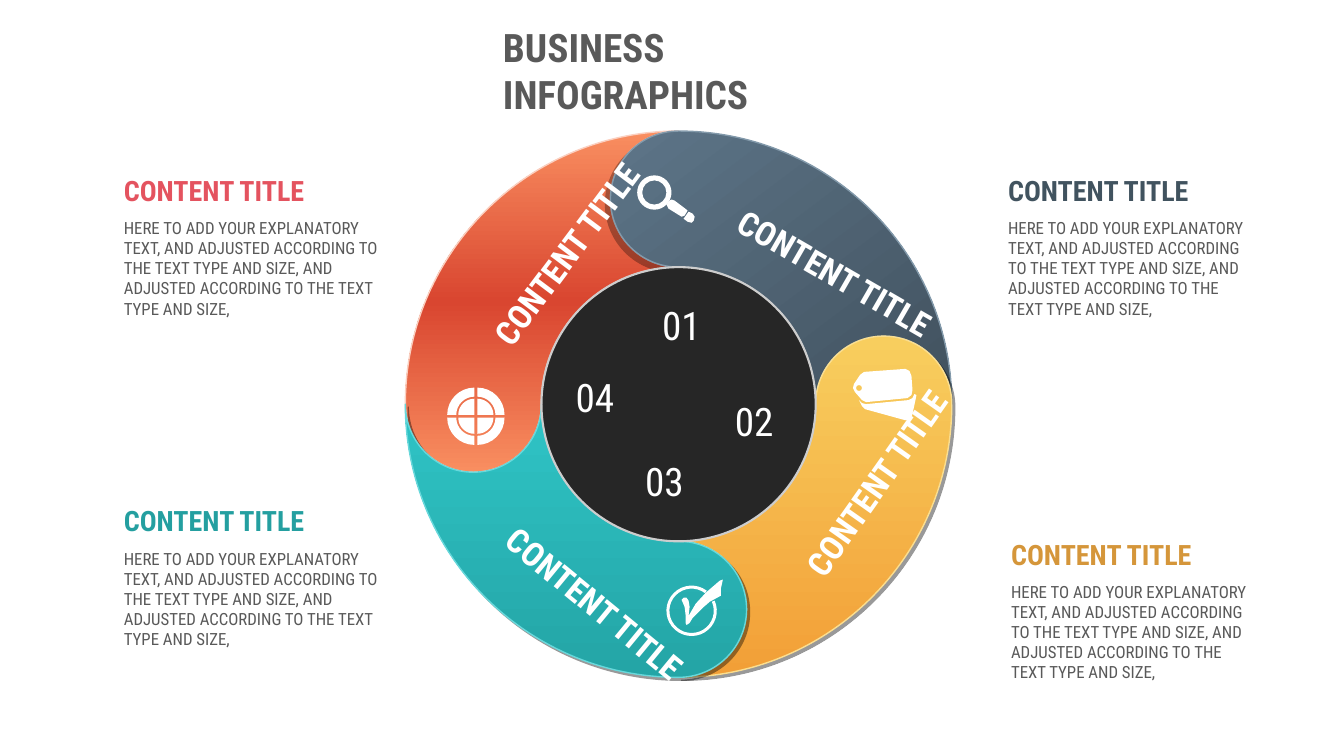
from math import ceil, cos, dist, radians, sin, tan
from lxml.etree import SubElement
from pptx import Presentation
from pptx.dml.color import RGBColor
from pptx.enum.shapes import MSO_SHAPE
from pptx.enum.text import PP_ALIGN
from pptx.oxml import parse_xml
from pptx.oxml.ns import nsdecls, qn
from pptx.util import Inches, Pt

FONT = "Roboto Condensed"
COLORS = {"text": "595959", "white": "FFFFFF", "hub": "262626", "rim": "CDCDCD",
          "red": "E4535F", "navy": "41535F", "gold": "D5963A", "teal": "249FA0"}
HEADING = "BUSINESS INFOGRAPHICS"
CAPTION = "CONTENT TITLE"
EXPLANATION = ("HERE TO ADD YOUR EXPLANATORY TEXT, AND ADJUSTED ACCORDING TO THE TEXT "
               "TYPE AND SIZE, AND ADJUSTED ACCORDING TO THE TEXT TYPE AND SIZE,")

# left, top, width, colour of each note
NOTES = [(1.13, 1.67, 2.75, "red"), (1.13, 4.95, 2.75, "teal"),
         (9.9, 1.67, 2.66, "navy"), (9.93, 5.28, 2.66, "gold")]
# left, top, rotation of each caption on the wheel
WHEEL_CAPTIONS = [(4.36, 2.1, 306.9), (7.08, 2.56, 30), (4.68, 5.87, 39.5), (7.43, 4.37, 305.2)]
NUMBERS = [("01", 6.36, 2.94), ("02", 7.08, 3.89), ("03", 6.19, 4.49), ("04", 5.5, 3.65)]

# start angle, gradient colours, gradient angle, outline, shadow (opacity, distance, angle)
SEGMENTS = [
    (180, ("F98E60", "D94630", "F98E60"), 90, "FBD0C1", (40, 3, 45)),
    (270, ("5D7588", "41515E"), 53, "839AAB", (30, 5, 135)),
    (0, ("F8CE5E", "F29F37"), 90, "FADE90", (40, 3, 45)),
    (90, ("24A5A6", "2FC4C6"), 270, "67D8DB", (40, 3, 45)),
]
CENTER = (6.73, 4.01)
OUTER, INNER = 2.71, 1.36
MIDDLE, CAP = (OUTER + INNER) / 2, (OUTER - INNER) / 2

LENS = (6.49, 1.91)
HANDLE = [(6.81, 2.08), (6.69, 1.99), (6.66, 1.98), (6.64, 1.99), (6.61, 2.03),
          (6.63, 2.07), (6.76, 2.15), (6.79, 2.14), (6.82, 2.09)]
HANDLE_TIP = [(6.83, 2.1), (6.87, 2.12), (6.89, 2.15), (6.88, 2.19), (6.86, 2.21),
              (6.82, 2.2), (6.78, 2.17)]
TARGET, TARGET_GAP = (4.72, 4.13), 0.02
CHECK = (6.86, 6.06)
TICK = [(7.14, 5.76), (7, 5.88), (6.9, 5.99), (6.83, 6.11), (6.84, 6.02), (6.83, 5.96),
        (6.81, 5.93), (6.78, 5.93), (6.76, 5.95), (6.79, 6.02), (6.8, 6.1), (6.8, 6.18),
        (6.81, 6.2), (6.84, 6.18), (6.87, 6.13), (6.97, 6.03), (7.04, 5.97),
        (7.15, 5.91), (7.15, 5.84), (7.17, 5.75)]
BACK_TAG = [(9.08, 3.97), (9.05, 4.11), (9.03, 4.16), (8.98, 4.17), (8.58, 4.06),
            (8.55, 4.03), (8.52, 3.97), (8.55, 4), (8.59, 4.01), (9.01, 3.97),
            (9.05, 3.95), (9.07, 3.91), (9.09, 3.92)]
FRONT_TAG = [(9.05, 3.87), (9.04, 3.73), (9.02, 3.68), (8.98, 3.66), (8.57, 3.69),
             (8.53, 3.72), (8.47, 3.81), (8.46, 3.85), (8.48, 3.89), (8.55, 3.97),
             (8.59, 3.99), (9, 3.95), (9.04, 3.92)]
TAG_HOLE = (8.52, 3.85)

prs = Presentation()
prs.slide_width, prs.slide_height = Inches(13.33), Inches(7.5)
slide = prs.slides.add_slide(prs.slide_layouts[6])
shapes = slide.shapes


def rgb(name):
    return RGBColor.from_string(COLORS.get(name, name))


def add_text(text, left, top, width, height, size=12, color="text", bold=False,
             align=PP_ALIGN.LEFT, rotation=0):
    box = shapes.add_textbox(Inches(left), Inches(top), Inches(width), Inches(height))
    box.rotation = rotation
    box.text_frame.word_wrap = True
    paragraph = box.text_frame.paragraphs[0]
    paragraph.alignment = align
    run = paragraph.add_run()
    run.text = text
    run.font.name, run.font.size, run.font.bold = FONT, Pt(size), bold
    run.font.color.rgb = rgb(color)


def polar(center, radius, angle):
    return (center[0] + radius * cos(radians(angle)), center[1] + radius * sin(radians(angle)))


def arc(center, radius, start, end):
    """Start point, then two control points and an end point per Bézier piece."""
    pieces = ceil(abs(end - start) / 90)
    step = (end - start) / pieces
    reach = 4 / 3 * tan(radians(step / 4)) * radius
    points = [polar(center, radius, start)]
    for i in range(pieces):
        near, far = start + step * i, start + step * (i + 1)
        tail = polar(center, radius, far)
        points += [polar(points[-1], reach, near + 90), polar(tail, -reach, far + 90), tail]
    return points


def join(*arcs):
    """Chain arcs, bridging any gap with a straight piece."""
    points = list(arcs[0])
    for following in arcs[1:]:
        if dist(points[-1], following[0]) > 0.001:
            points += [points[-1], following[0], following[0]]
        points += following[1:]
    return points


def band(center, outer, inner, start=0, end=360):
    """Outline of a part of a ring."""
    return join(arc(center, outer, start, end), arc(center, inner, end, start))


def add_outline(*contours, curved=False):
    """Draw closed contours as one shape; later contours are holes."""
    scaled = [[(Inches(x), Inches(y)) for x, y in contour] for contour in contours]
    builder = shapes.build_freeform(*scaled[0][0], scale=1.0)
    builder.add_line_segments(scaled[0][1:], close=True)
    for hole in scaled[1:]:
        builder.move_to(*hole[0])
        builder.add_line_segments(hole[1:], close=True)
    outline = builder.convert_to_shape()
    outline.shadow.inherit = False
    if curved:
        lines = list(outline.element.iter(qn("a:lnTo")))
        for first, second, third in zip(lines[::3], lines[1::3], lines[2::3]):
            curve = parse_xml(f'<a:cubicBezTo {nsdecls("a")}/>')
            first.addprevious(curve)
            for line in (first, second, third):
                curve.append(line[0])
                line.getparent().remove(line)
    return outline


def add_icon_part(*contours, curved=False):
    part = add_outline(*contours, curved=curved)
    part.fill.solid()
    part.fill.fore_color.rgb = rgb("white")
    part.line.fill.background()


def add_segment(start, stops, gradient_angle, edge, shadow):
    end = start + 90
    segment = add_outline(join(
        arc(polar(CENTER, MIDDLE, start), CAP, start, start - 180),
        arc(CENTER, INNER, start, end),
        arc(polar(CENTER, MIDDLE, end), CAP, end - 180, end),
        arc(CENTER, OUTER, end, start)), curved=True)
    properties = segment.element.spPr
    stop_xml = "".join(
        f'<a:gs pos="{100000 * i // (len(stops) - 1)}"><a:srgbClr val="{color}"/></a:gs>'
        for i, color in enumerate(stops))
    properties.insert(2, parse_xml(
        f'<a:gradFill {nsdecls("a")}><a:gsLst>{stop_xml}</a:gsLst>'
        f'<a:lin ang="{gradient_angle * 60000}" scaled="0"/></a:gradFill>'))
    segment.line.color.rgb = rgb(edge)
    segment.line.width = Pt(1)
    opacity, distance, direction = shadow
    cast = SubElement(properties.find(qn("a:effectLst")), qn("a:outerShdw"), blurRad="0",
                      dist=str(Pt(distance)), dir=str(direction * 60000),
                      algn="ctr", rotWithShape="0")
    tone = SubElement(cast, qn("a:srgbClr"), val="000000")
    SubElement(tone, qn("a:alpha"), val=str(opacity * 1000))


def add_hub():
    hub = shapes.add_shape(MSO_SHAPE.OVAL, Inches(CENTER[0] - INNER), Inches(CENTER[1] - INNER),
                           Inches(2 * INNER), Inches(2 * INNER))
    hub.shadow.inherit = False
    hub.fill.solid()
    hub.fill.fore_color.rgb = rgb("hub")
    hub.line.color.rgb = rgb("rim")
    hub.line.width = Pt(1.5)


def add_icons():
    for ring in (band(LENS, 0.17, 0.12), band(CHECK, 0.25, 0.22, -24, 307)):
        add_icon_part(ring, curved=True)
    for contour in (HANDLE, HANDLE_TIP, TICK, BACK_TAG):
        add_icon_part(contour)
    add_icon_part(FRONT_TAG, [polar(TAG_HOLE, 0.03, angle) for angle in range(360, 0, -45)])
    for quarter in range(0, 360, 90):
        corner = polar(TARGET, TARGET_GAP, quarter + 45)
        for outer, inner in ((0.27, 0.18), (0.16, 0)):
            add_icon_part(band(corner, outer, inner, quarter, quarter + 90), curved=True)


add_text(HEADING, 4.89, 0.18, 3.55, 1.03, size=28, bold=True)
for segment in SEGMENTS:
    add_segment(*segment)
add_icons()
for left, top, rotation in WHEEL_CAPTIONS:
    add_text(CAPTION, left, top, 2.76, 0.5, size=24, color="white", bold=True, rotation=rotation)
for left, top, width, color in NOTES:
    add_text(EXPLANATION, left, top + 0.44, width, 1.3)
    add_text(CAPTION, left, top, 2.34, 0.43, size=20, color=color, bold=True)
add_hub()
for number, left, top in NUMBERS:
    add_text(number, left, top, 0.8, 0.57, size=28, color="white", align=PP_ALIGN.CENTER)

prs.save("out.pptx")
